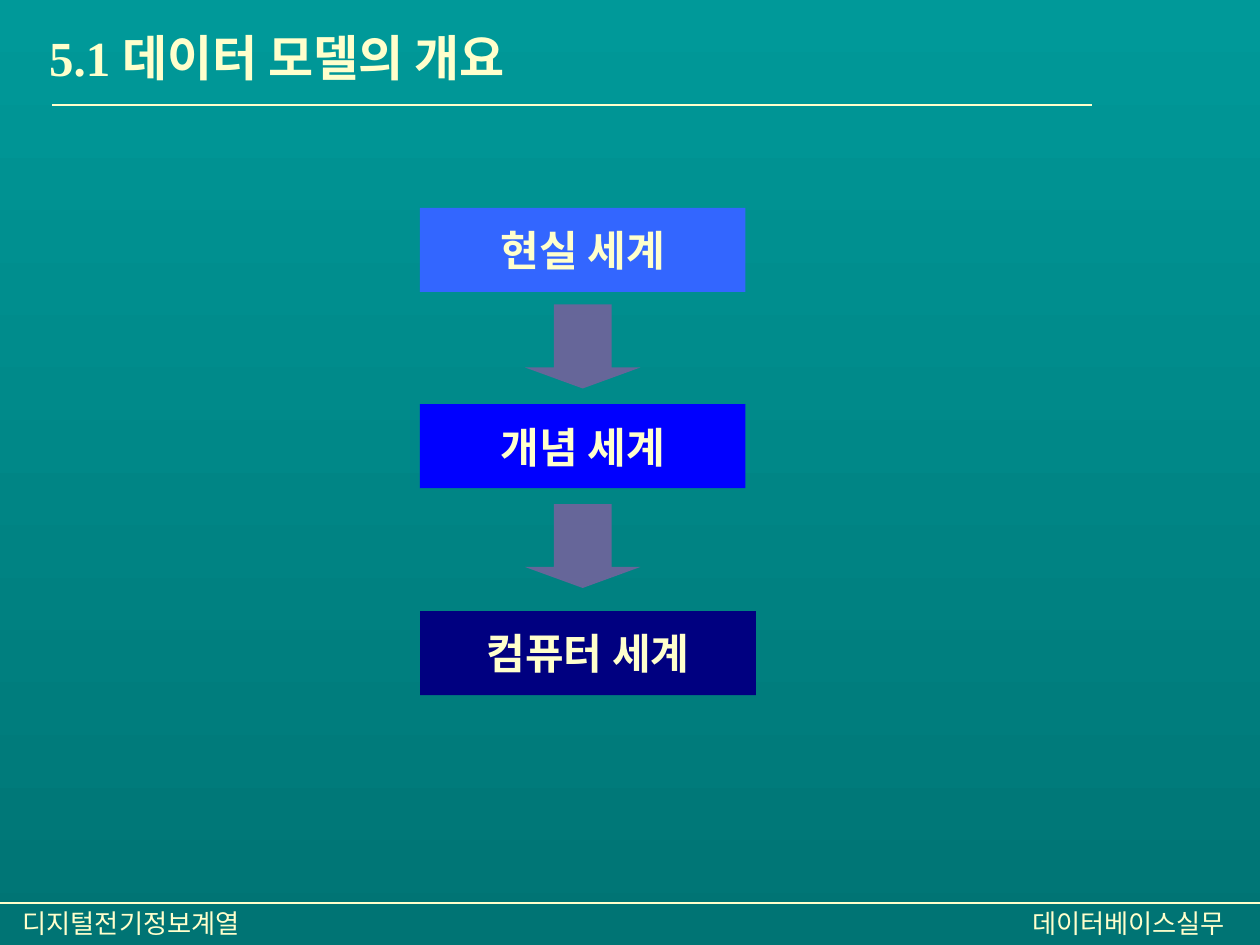
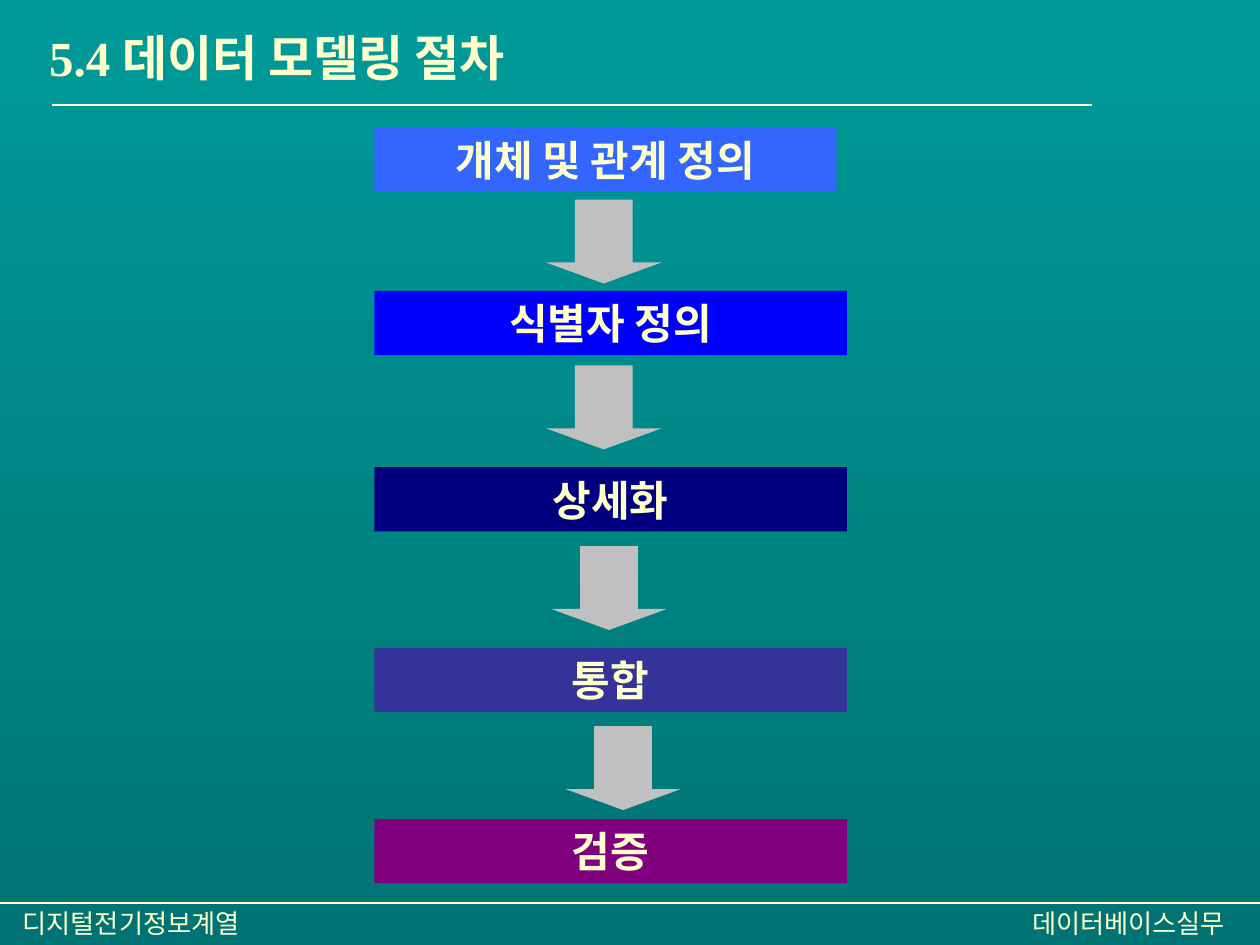
from pptx import Presentation
from pptx.dml.color import RGBColor
from pptx.enum.shapes import MSO_CONNECTOR, MSO_SHAPE
from pptx.enum.text import MSO_ANCHOR, MSO_AUTO_SIZE, PP_ALIGN
from pptx.oxml.ns import qn
from pptx.util import Inches, Pt
from lxml import etree

STRAIGHT = MSO_CONNECTOR.STRAIGHT
RECTANGLE = MSO_SHAPE.RECTANGLE
DOWN_ARROW = MSO_SHAPE.DOWN_ARROW
MIDDLE = MSO_ANCHOR.MIDDLE
GROW = MSO_AUTO_SIZE.SHAPE_TO_FIT_TEXT
LEFT, CENTER = PP_ALIGN.LEFT, PP_ALIGN.CENTER

CREAM = "FFFFCC"
BACKGROUND = ["009999", "007474"]
LATIN_FONT = "Times New Roman"
KOREAN_FONT = "Noto Sans CJK KR"

deck = Presentation()
deck.slide_width, deck.slide_height = Inches(10), Inches(7.5)
COLUMN = deck.slide_width / 120
ROW = deck.slide_height / 90


def color(value):
    return RGBColor.from_string(value)


def write(box, text, size, font, bold, align):
    para = box.text_frame.paragraphs[0]
    para.alignment = align
    span = para.add_run()
    span.text = text
    span.font.size = Pt(size)
    span.font.name = font
    span.font.bold = bold
    span.font.color.rgb = color(CREAM)
    east_asian = etree.SubElement(span._r.get_or_add_rPr(), qn("a:ea"))
    east_asian.set("typeface", KOREAN_FONT)


RULES = [(0, 120, 86), (5, 104, 10)]
FOOTERS = [("디지털전기정보계열", 0), ("데이터베이스실무", 95)]

FLOWS = [
    {
        "title": "5.1 데이터 모델의 개요",
        "left": 40,
        "height": 8,
        "steps": [
            ("현실 세계", 19.8, 31, "3366FF"),
            ("개념 세계", 38.5, 31, "0000FF"),
            ("컴퓨터 세계", 58.2, 32, "000080"),
        ],
        "arrows": [(50, 29), (50, 48)],
        "arrow_color": "666699",
    },
    {
        "title": "5.4 데이터 모델링 절차",
        "left": 35.65,
        "height": 6.12,
        "steps": [
            ("개체 및 관계 정의", 12.12, 44, "3366FF"),
            ("식별자 정의", 27.7, 45, "0000FF"),
            ("상세화", 44.5, 45, "000080"),
            ("통합", 61.7, 45, "333399"),
            ("검증", 78, 45, "800080"),
        ],
        "arrows": [(52, 19), (52, 34.8), (52.5, 52), (53.85, 69.15)],
        "arrow_color": "C0C0C0",
    },
]

for flow in FLOWS:
    page = deck.slides.add_slide(deck.slide_layouts[6])
    backdrop = page.background.fill
    backdrop.gradient()
    backdrop.gradient_angle = 270
    for position, (stop, shade) in enumerate(zip(backdrop.gradient_stops, BACKGROUND)):
        stop.position = position
        stop.color.rgb = color(shade)

    labels = [(flow["title"], 3.5, 2, 96, 6.84, 28, True, LEFT)]
    labels += [(text, left, 85.8, 25, 4.2, 15, False, CENTER) for text, left in FOOTERS]
    for text, left, top, width, height, size, bold, align in labels:
        box = page.shapes.add_textbox(
            int(left * COLUMN), int(top * ROW), int(width * COLUMN), int(height * ROW)
        )
        box.text_frame.word_wrap = True
        box.text_frame.auto_size = GROW
        write(box, text, size, LATIN_FONT, bold, align)

    for start, end, height in RULES:
        rule = page.shapes.add_connector(
            STRAIGHT, int(start * COLUMN), int(height * ROW), int(end * COLUMN), int(height * ROW)
        )
        rule.line.color.rgb = color(CREAM)
        rule.line.width = Pt(0.75)
        etree.SubElement(rule._element.spPr, qn("a:effectLst"))

    blocks = [
        (RECTANGLE, flow["left"], top, width, flow["height"], fill, text)
        for text, top, width, fill in flow["steps"]
    ]
    blocks += [
        (DOWN_ARROW, left, top, 11, 8, flow["arrow_color"], None)
        for left, top in flow["arrows"]
    ]
    for kind, left, top, width, height, fill, text in blocks:
        block = page.shapes.add_shape(
            kind, int(left * COLUMN), int(top * ROW), int(width * COLUMN), int(height * ROW)
        )
        block.shadow.inherit = False
        block.fill.solid()
        block.fill.fore_color.rgb = color(fill)
        block.line.fill.background()
        if kind == DOWN_ARROW:
            block.adjustments[0] = 0.5
            block.adjustments[1] = 0.25
        else:
            block.text_frame.word_wrap = True
            block.text_frame.vertical_anchor = MIDDLE
            write(block, text, 24, KOREAN_FONT, True, CENTER)

deck.save("out.pptx")
